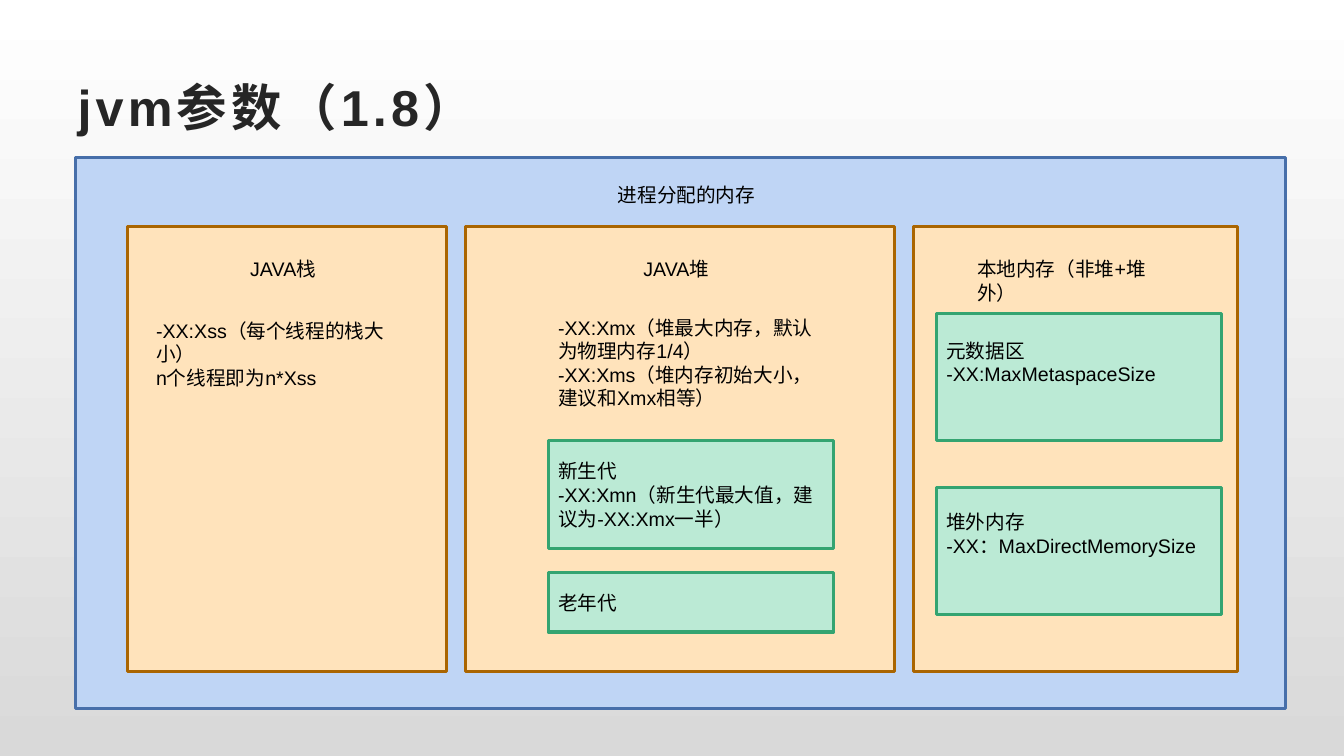
from pptx import Presentation
from pptx.dml.color import RGBColor
from pptx.enum.shapes import MSO_SHAPE
from pptx.enum.text import MSO_ANCHOR, MSO_AUTO_SIZE, PP_ALIGN
from pptx.util import Pt

FONT = "Arial"
PROCESS = ("BFD5F5", "476FAA")
AREA = ("FFE3BB", "AA6500")
PART = ("BBEAD5", "34A471")
AREA_TOP, AREA_HEIGHT = 162, 317.5
PART_WIDTH = 203.8
LINE_HEIGHT = 16.9


def color(hex_code):
    """Turn a hex string into a colour."""
    return RGBColor.from_string(hex_code)


def add_run(paragraph, text, size, hex_code):
    """Append one formatted run and return it."""
    run = paragraph.add_run()
    run.text = text
    run.font.name, run.font.size = FONT, Pt(size)
    run.font.color.rgb = color(hex_code)
    return run


def add_panel(slide, box, colors):
    """Draw an outlined rectangle in box (left, top, width, height)."""
    panel = slide.shapes.add_shape(MSO_SHAPE.RECTANGLE, *map(Pt, box))
    fill, outline = colors
    panel.shadow.inherit = False
    panel.fill.solid()
    panel.fill.fore_color.rgb = color(fill)
    panel.line.color.rgb = color(outline)
    panel.line.width = Pt(2.25)


def add_label(slide, left, top, width, paragraphs, lines=1):
    """Place left-aligned text, one paragraph per string."""
    height = 7.2 + LINE_HEIGHT * lines
    label = slide.shapes.add_textbox(*map(Pt, (left, top, width, height)))
    frame = label.text_frame
    frame.word_wrap = True
    frame.auto_size = MSO_AUTO_SIZE.SHAPE_TO_FIT_TEXT
    for index, text in enumerate(paragraphs):
        paragraph = frame.add_paragraph() if index else frame.paragraphs[0]
        add_run(paragraph, text, 14, "000000")


def add_area(slide, box, heading, heading_width):
    """Draw a memory area with its heading box centred near the top."""
    left, top, width, _ = box
    add_panel(slide, box, AREA)
    add_label(slide, left + (width - heading_width) / 2, top + 18,
              heading_width, [heading])


def add_part(slide, left, top, height, inset, paragraphs, lines):
    """Draw a part of a memory area with its text inset from the top."""
    add_panel(slide, (left, top, PART_WIDTH, height), PART)
    add_label(slide, left, top + inset, PART_WIDTH, paragraphs, lines)


def add_stack(slide, box):
    """Build the Java stack area."""
    left, top = box[:2]
    add_area(slide, box, "JAVA栈", 67)
    add_label(slide, left + 13, top + 62, PART_WIDTH,
              ["-XX:Xss（每个线程的栈大小）", "n个线程即为n*Xss"], 2)


def add_heap(slide, box):
    """Build the Java heap area with its two generations."""
    left, top = box[0] + 59, box[1]
    add_area(slide, box, "JAVA堆", 67)
    add_label(slide, left, top + 60, PART_WIDTH,
              ["-XX:Xmx（堆最大内存，默认为物理内存1/4）",
               "-XX:Xms（堆内存初始大小，建议和Xmx相等）"], 4)
    add_part(slide, left, top + 152.6, 77, 10,
             ["新生代", "-XX:Xmn（新生代最大值，建议为-XX:Xmx一半）"], 3)
    add_part(slide, left, top + 247, 42.5, 9.4, ["老年代"], 1)


def add_native(slide, box):
    """Build the native memory area."""
    left, top = box[0] + 16.6, box[1]
    add_area(slide, box, "本地内存（非堆+堆外）", 154.8)
    add_part(slide, left, top + 62, 90.7, 14.4,
             ["元数据区", "-XX:MaxMetaspaceSize"], 2)
    add_part(slide, left, top + 186.5, 90.7, 12.2,
             ["堆外内存", "-XX：MaxDirectMemorySize"], 2)


def add_process(slide, box):
    """Build the process memory frame around the three areas."""
    left, top = box[:2]
    add_panel(slide, box, PROCESS)
    add_label(slide, left + 380.2, top + 15.1, 161.3, ["进程分配的内存"])
    areas = [(add_stack, 37.4, 227.5), (add_heap, 278.6, 306.7),
             (add_native, 598.3, 231.8)]
    for add_content, offset, width in areas:
        add_content(slide, (left + offset, AREA_TOP, width, AREA_HEIGHT))


def add_title(slide, box, text):
    """Move and format the title placeholder."""
    title = slide.shapes.title
    title.left, title.top, title.width, title.height = map(Pt, box)
    frame = title.text_frame
    frame.word_wrap = True
    frame.auto_size = MSO_AUTO_SIZE.NONE
    frame.vertical_anchor = MSO_ANCHOR.MIDDLE
    paragraph = frame.paragraphs[0]
    paragraph.alignment = PP_ALIGN.LEFT
    run = add_run(paragraph, text, 36, "262626")
    run.font.bold = True
    run._r.get_or_add_rPr().set("spc", "300")


def set_background(slide, top_color, bottom_color):
    """Fill the slide with a vertical gradient."""
    fill = slide.background.fill
    fill.gradient()
    fill.gradient_angle = 270
    for stop, position, hex_code in zip(fill.gradient_stops, (0, 1),
                                        (top_color, bottom_color)):
        stop.position = position
        stop.color.rgb = color(hex_code)


presentation = Presentation()
presentation.slide_width, presentation.slide_height = Pt(960), Pt(540)
memory_slide = presentation.slides.add_slide(presentation.slide_layouts[5])
set_background(memory_slide, "FFFFFF", "D9D9D9")
add_title(memory_slide, (48.2, 48.2, 864, 55.4), "jvm参数（1.8）")
add_process(memory_slide, (54, 112.3, 864, 393.8))
presentation.save("out.pptx")
